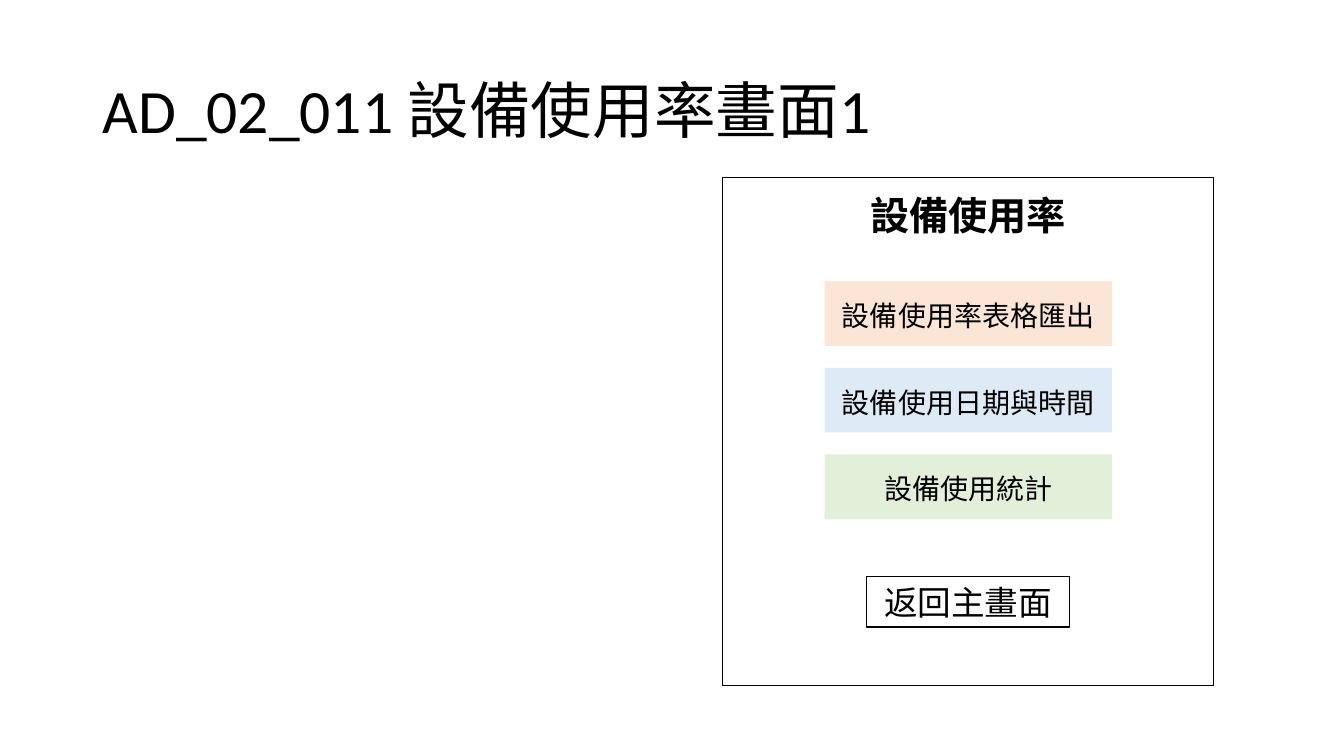
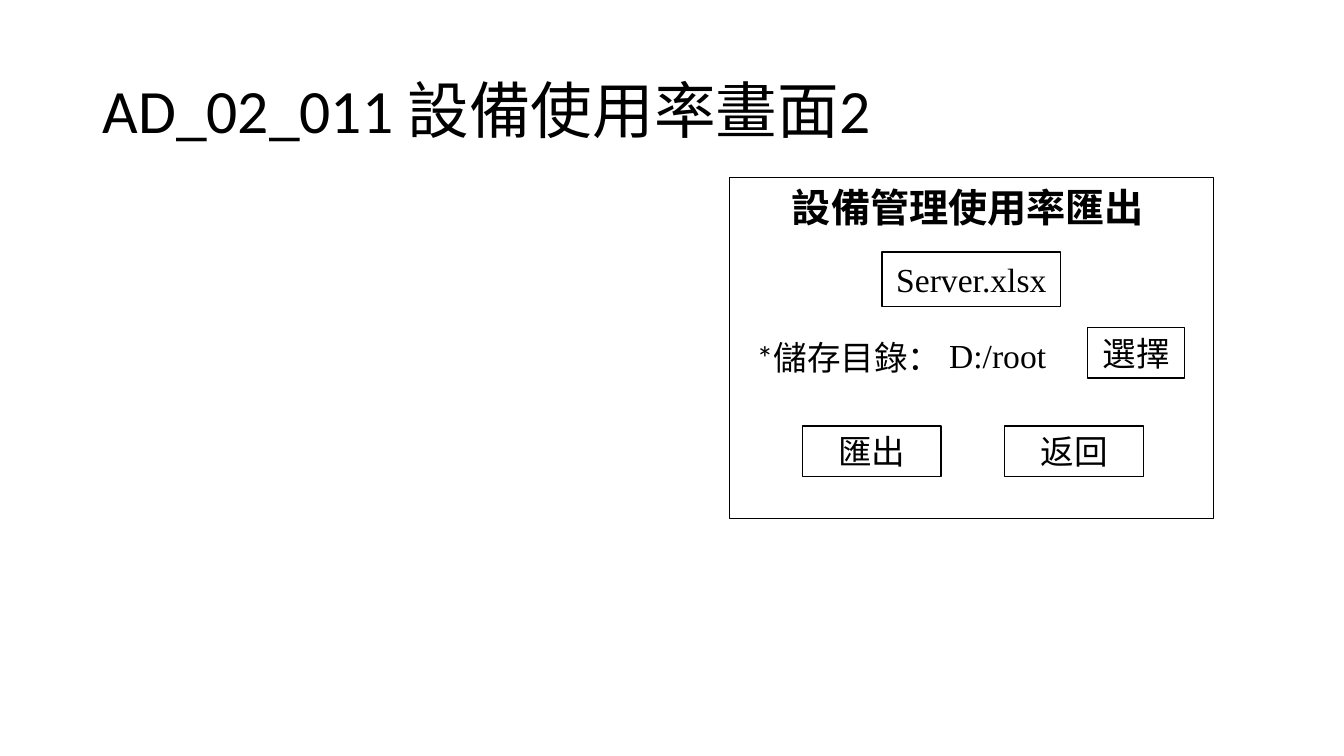
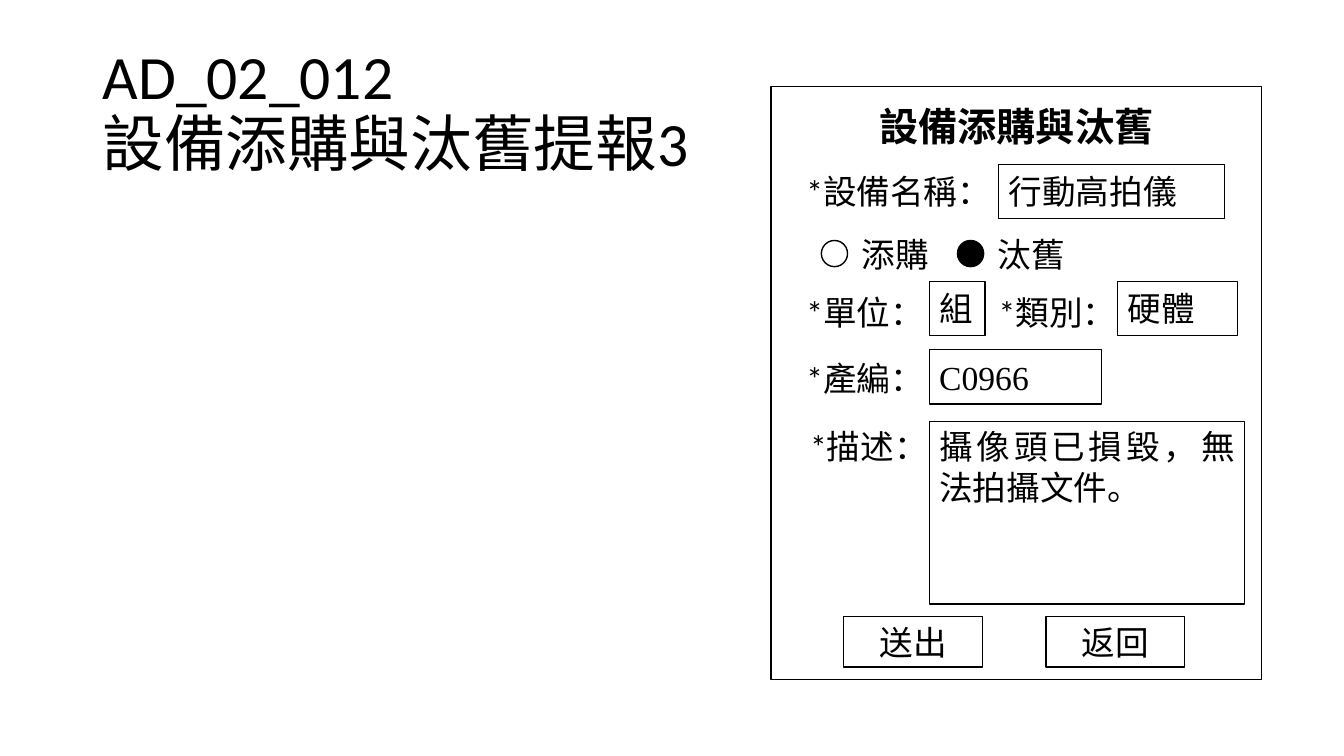
from lxml.etree import SubElement
from pptx import Presentation
from pptx.dml.color import RGBColor
from pptx.enum.shapes import MSO_SHAPE
from pptx.enum.text import MSO_ANCHOR, MSO_AUTO_SIZE, PP_ALIGN
from pptx.oxml.ns import qn
from pptx.util import Cm, Pt

COLORS = {
    "ink": "000000",
    "paper": "FFFFFF",
    "peach": "FBE5D6",
    "sky": "DEEBF7",
    "mint": "E2F0D9",
}
LATIN, CJK, SERIF = "Calibri", "Noto Sans CJK SC", "Times New Roman"
TITLE_ONLY = 5


class Mockup:
    """Style of the screen mockups, together with the slide being drawn."""

    def __init__(self):
        self.deck = Presentation()
        self.deck.slide_width = Cm(33.87)
        self.deck.slide_height = Cm(19.05)
        self.page = None

    def color(self, name):
        return RGBColor.from_string(COLORS[name])

    def set_text(self, frame, text, size=24, font=LATIN, bold=False,
                 align=PP_ALIGN.LEFT, anchor=MSO_ANCHOR.MIDDLE, spacing=1.0, wrap=True):
        frame.text = text
        frame.word_wrap = wrap
        frame.auto_size = MSO_AUTO_SIZE.NONE
        frame.vertical_anchor = anchor
        para = frame.paragraphs[0]
        para.alignment = align
        para.line_spacing = spacing
        para.font.size = Pt(size)
        para.font.bold = bold
        para.font.color.rgb = self.color("ink")
        para.font.name = font
        east_asian = SubElement(para._p.pPr.find(qn("a:defRPr")), qn("a:ea"))
        east_asian.set("typeface", CJK)

    def new_page(self, title):
        self.page = self.deck.slides.add_slide(self.deck.slide_layouts[TITLE_ONLY])
        box = self.page.shapes.title
        box.left, box.top, box.width, box.height = Cm(2.33), Cm(1.01), Cm(29.21), Cm(3.68)
        self.set_text(box.text_frame, title, size=44, spacing=0.9)

    def shape(self, left, top, width, height, fill=None, line="ink", kind=MSO_SHAPE.RECTANGLE):
        shape = self.page.shapes.add_shape(kind, Cm(left), Cm(top), Cm(width), Cm(height))
        shape.shadow.inherit = False
        if fill:
            shape.fill.solid()
            shape.fill.fore_color.rgb = self.color(fill)
        else:
            shape.fill.background()
        if line:
            shape.line.color.rgb = self.color(line)
            shape.line.width = Pt(1)
        else:
            shape.line.fill.background()
        return shape

    def text_box(self, text, left, top, width, height, **style):
        box = self.page.shapes.add_textbox(Cm(left), Cm(top), Cm(width), Cm(height))
        self.set_text(box.text_frame, text, **style)

    def label(self, text, left, top, width, **style):
        self.text_box(text, left, top, width, 1.27, anchor=MSO_ANCHOR.TOP, wrap=False, **style)

    def panel(self, left, top, width, height):
        self.shape(left, top, width, height)

    def heading(self, text, left, top):
        self.text_box(text, left, top, 12.37, 1.57, size=28, font=CJK, bold=True,
                      align=PP_ALIGN.CENTER)

    def menu_item(self, text, top, fill):
        item = self.shape(20.78, top, 7.24, 1.63, fill, line=None)
        self.set_text(item.text_frame, text, size=20, align=PP_ALIGN.CENTER, spacing=1.1)

    def button(self, text, left, top, width=3.5):
        button = self.shape(left, top, width, 1.27, "paper")
        self.set_text(button.text_frame, text, align=PP_ALIGN.CENTER)

    def button_pair(self, texts, left, top):
        for column, text in enumerate(texts):
            self.button(text, left + 5.1 * column, top)

    def field(self, text, left, top, width, height=1.37, **style):
        field = self.shape(left, top, width, height, "paper")
        self.set_text(field.text_frame, text, **style)

    def radio(self, text, left, top, chosen=False):
        self.shape(left, top, 0.66, 0.66, "ink" if chosen else None, kind=MSO_SHAPE.OVAL)
        self.label(text, left + 0.76, top - 0.3, 2.21, align=PP_ALIGN.CENTER)


def usage_menu(mockup):
    mockup.new_page("AD_02_011 設備使用率畫面1")
    mockup.panel(18.21, 4.47, 12.37, 12.8)
    mockup.heading("設備使用率", 18.21, 4.62)
    items = [("設備使用率表格匯出", "peach"), ("設備使用日期與時間", "sky"), ("設備使用統計", "mint")]
    for row, (text, fill) in enumerate(items):
        mockup.menu_item(text, 7.09 + 2.18 * row, fill)
    mockup.button("返回主畫面", 21.84, 14.53, 5.11)


def usage_export(mockup):
    mockup.new_page("AD_02_011 設備使用率畫面2")
    mockup.panel(18.39, 4.47, 12.19, 8.59)
    mockup.heading("設備管理使用率匯出", 18.21, 4.42)
    mockup.field("Server.xlsx", 22.23, 6.35, 4.5, font=SERIF, align=PP_ALIGN.CENTER)
    mockup.label("*儲存目錄：", 18.82, 8.36, 5.21)
    mockup.label("D:/root", 23.67, 8.31, 3.63, font=SERIF)
    mockup.button("選擇", 27.41, 8.26, 2.44)
    mockup.button_pair(["匯出", "返回"], 20.22, 10.74)


def purchase_form(mockup):
    mockup.new_page("AD_02_012\v設備添購與汰舊提報3")
    mockup.panel(19.43, 2.18, 12.37, 14.94)
    mockup.heading("設備添購與汰舊", 19.43, 2.39)
    labels = [
        ("*設備名稱：", 20.07, 4.17, 5.11),
        ("*單位：", 20.07, 7.24, 3.35),
        ("*類別：", 24.92, 7.24, 3.35),
        ("*產編：", 20.07, 8.89, 3.61),
        ("*描述：", 20.17, 10.62, 3.51),
    ]
    for label in labels:
        mockup.label(*label)
    fields = [
        ("行動高拍儀", 25.17, 4.14, 5.69),
        ("組", 23.42, 7.09, 1.4),
        ("硬體", 28.17, 7.09, 3.02),
    ]
    for field in fields:
        mockup.field(*field)
    mockup.field("C0966", 23.42, 8.81, 4.34, font=SERIF)
    mockup.field("攝像頭已損毀，無法拍攝文件。", 23.42, 10.62, 7.95, 4.6, font=CJK,
                 align=PP_ALIGN.JUSTIFY, anchor=MSO_ANCHOR.TOP)
    mockup.radio("添購", 20.7, 6.06)
    mockup.radio("汰舊", 24.13, 6.06, chosen=True)
    mockup.button_pair(["送出", "返回"], 21.26, 15.54)


def main():
    mockup = Mockup()
    for draw in (usage_menu, usage_export, purchase_form):
        draw(mockup)
    mockup.deck.save("out.pptx")


if __name__ == "__main__":
    main()
